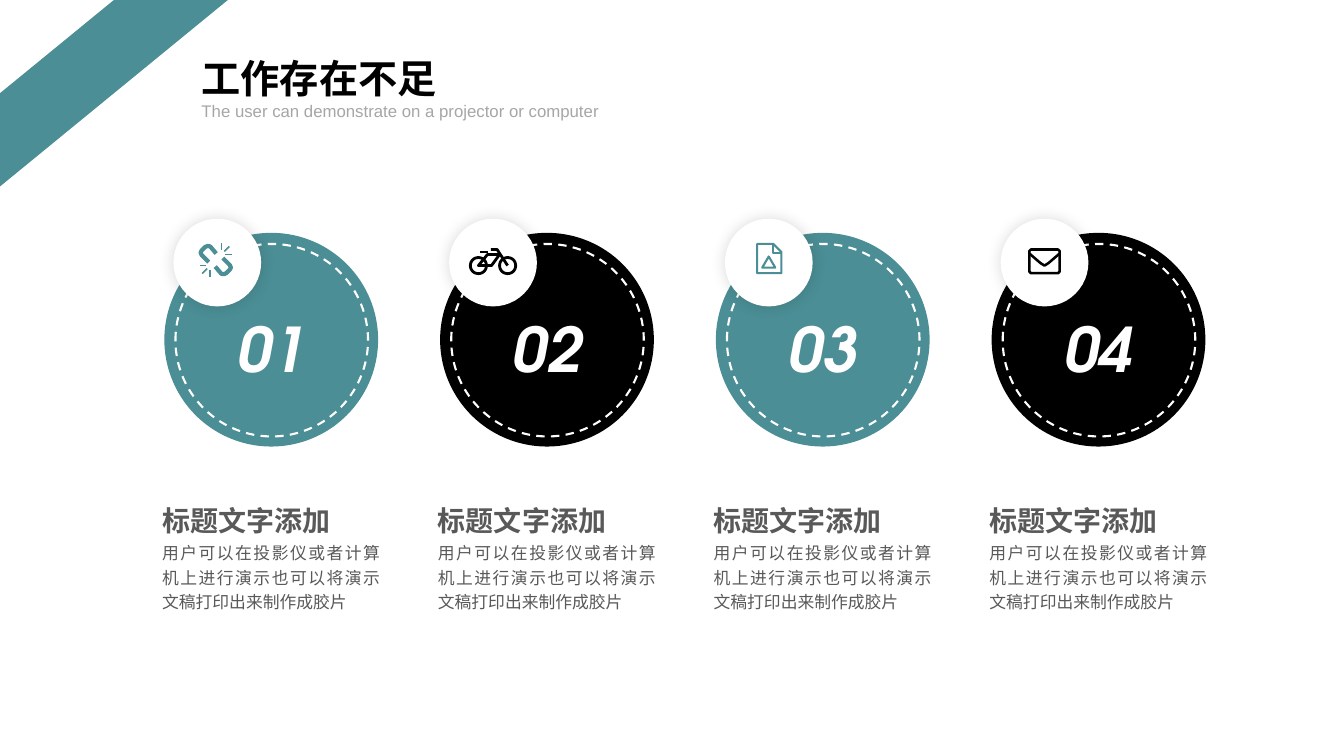
from math import cos, pi, sin
from lxml.etree import SubElement
from pptx import Presentation
from pptx.dml.color import RGBColor
from pptx.enum.dml import MSO_LINE
from pptx.enum.shapes import MSO_SHAPE
from pptx.enum.text import MSO_ANCHOR, PP_ALIGN
from pptx.oxml.ns import qn
from pptx.util import Inches, Pt

TEAL, BLACK, WHITE, GREY, PALE = "4B8E95", "000000", "FFFFFF", "595959", "A6A6A6"
CJK = "Noto Sans CJK SC"
color = RGBColor.from_string


def write(holder, words, size, hue, font, align=PP_ALIGN.LEFT, bold=False, italic=False, spacing=1.0):
    frame = holder.text_frame
    frame.word_wrap = True
    frame.vertical_anchor = MSO_ANCHOR.TOP
    paragraph = frame.paragraphs[0]
    paragraph.alignment = align
    paragraph.line_spacing = spacing
    run = paragraph.add_run()
    run.text = words
    run.font.size = Pt(size)
    run.font.name = font
    run.font.bold = bold
    run.font.italic = italic
    run.font.color.rgb = color(hue)
    SubElement(run.font._element, qn("a:ea")).set("typeface", CJK)


prs = Presentation()
prs.slide_width, prs.slide_height = Inches(13.33), Inches(7.5)
slide = prs.slides.add_slide(prs.slide_layouts[5])
shapes = slide.shapes

stripe = shapes.add_shape(MSO_SHAPE.DIAGONAL_STRIPE, 0, 0, Inches(2.26), Inches(1.85))
stripe.fill.solid()
stripe.fill.fore_color.rgb = color(TEAL)
stripe.line.fill.background()
stripe.shadow.inherit = False

heading = shapes.title
heading.left, heading.top = Inches(1.9), Inches(0.49)
heading.width, heading.height = Inches(5.54), Inches(0.57)
write(heading, "工作存在不足", 28, BLACK, "Arial", bold=True)
subtitle = shapes.add_textbox(Inches(1.9), Inches(0.95), Inches(5.54), Inches(0.3))
write(subtitle, "The user can demonstrate on a projector or computer", 12, PALE, "Arial")

link = [(-10, -90), (-70, -160), (-95, -165), (-120, -155), (-155, -120),
        (-165, -100), (-155, -75), (-85, -5)]
rays = [[(-110, 30), (-175, 30)], [(-100, 60), (-150, 110)], [(-70, 75), (-70, 140)]]
half_turn = [[(-30 - x, -50 - y) for x, y in part] for part in [link] + rays]
wheels = [[(hub + 80 * cos(pi * step / 16), 30 + 80 * sin(pi * step / 16)) for step in range(33)]
          for hub in (-145, 145)]
bicycle = wheels + [
    [(-145, 30), (-15, 30), (65, -80), (-55, -80), (-145, 30)],
    [(-20, -130), (40, -130), (145, 30)],
    [(-125, -105), (-50, -105)],
]
document = [
    [(-115, -185), (45, -185), (125, -105), (125, 105), (-115, 105), (-115, -185)],
    [(40, -185), (40, -95), (125, -95)],
    [(0, -60), (65, 50), (-65, 50), (0, -60)],
]
envelope = [
    [(-135, -130), (135, -130), (150, -115), (150, 90), (135, 105), (-135, 105),
     (-150, 90), (-150, -115), (-135, -130)],
    [(-150, -90), (-40, 5), (0, 30), (40, 5), (150, -90)],
]
columns = [
    (TEAL, [(3, [link, half_turn[0]]), (1.1, rays + half_turn[1:])]),
    (BLACK, [(2, bicycle)]),
    (TEAL, [(1.5, document)]),
    (BLACK, [(1.8, envelope)]),
]

FIRST, PITCH = 1.63, 2.735
for index, (hue, icon) in enumerate(columns):
    left = FIRST + index * PITCH
    for dx, top, size, fill in ((0, 2.31, 2.12, hue), (0.11, 2.42, 1.91, None), (0.09, 2.17, 0.87, WHITE)):
        disc = shapes.add_shape(MSO_SHAPE.OVAL, Inches(left + dx), Inches(top), Inches(size), Inches(size))
        disc.shadow.inherit = False
        if fill:
            disc.fill.solid()
            disc.fill.fore_color.rgb = color(fill)
            disc.line.fill.background()
        else:
            disc.fill.background()
            disc.line.color.rgb = color(WHITE)
            disc.line.width = Pt(1.5)
            disc.line.dash_style = MSO_LINE.DASH
    effects = disc._element.spPr.find(qn("a:effectLst"))
    glow = SubElement(effects, qn("a:outerShdw"), blurRad=str(Pt(11)), dist="0", dir="0")
    tint = SubElement(glow, qn("a:srgbClr"), val=BLACK)
    SubElement(tint, qn("a:alpha"), val="15000")

    for weight, strokes in icon:
        pen = shapes.build_freeform(*strokes[0][0], scale=Inches(1) / 1000)
        for stroke in strokes:
            pen.move_to(*stroke[0])
            pen.add_line_segments(stroke[1:], close=False)
        symbol = pen.convert_to_shape(Inches(left + 0.525), Inches(2.605))
        symbol.fill.background()
        symbol.line.color.rgb = color(hue)
        symbol.line.width = Pt(weight)
        symbol.shadow.inherit = False

    number = shapes.add_textbox(Inches(left + 0.15), Inches(3.04), Inches(1.83), Inches(0.84))
    write(number, f"{index + 1:02}", 44, WHITE, "TeX Gyre Adventor", PP_ALIGN.CENTER, True, True)
    caption = shapes.add_textbox(Inches(left - 0.12), Inches(4.88), Inches(2.24), Inches(0.47))
    write(caption, "标题文字添加", 20, GREY, CJK, PP_ALIGN.JUSTIFY, True, spacing=1.2)
    detail = shapes.add_textbox(Inches(left - 0.12), Inches(5.3), Inches(2.36), Inches(0.83))
    write(detail, "用户可以在投影仪或者计算机上进行演示也可以将演示文稿打印出来制作成胶片",
          12, GREY, CJK, PP_ALIGN.JUSTIFY, spacing=1.2)

prs.save("out.pptx")
